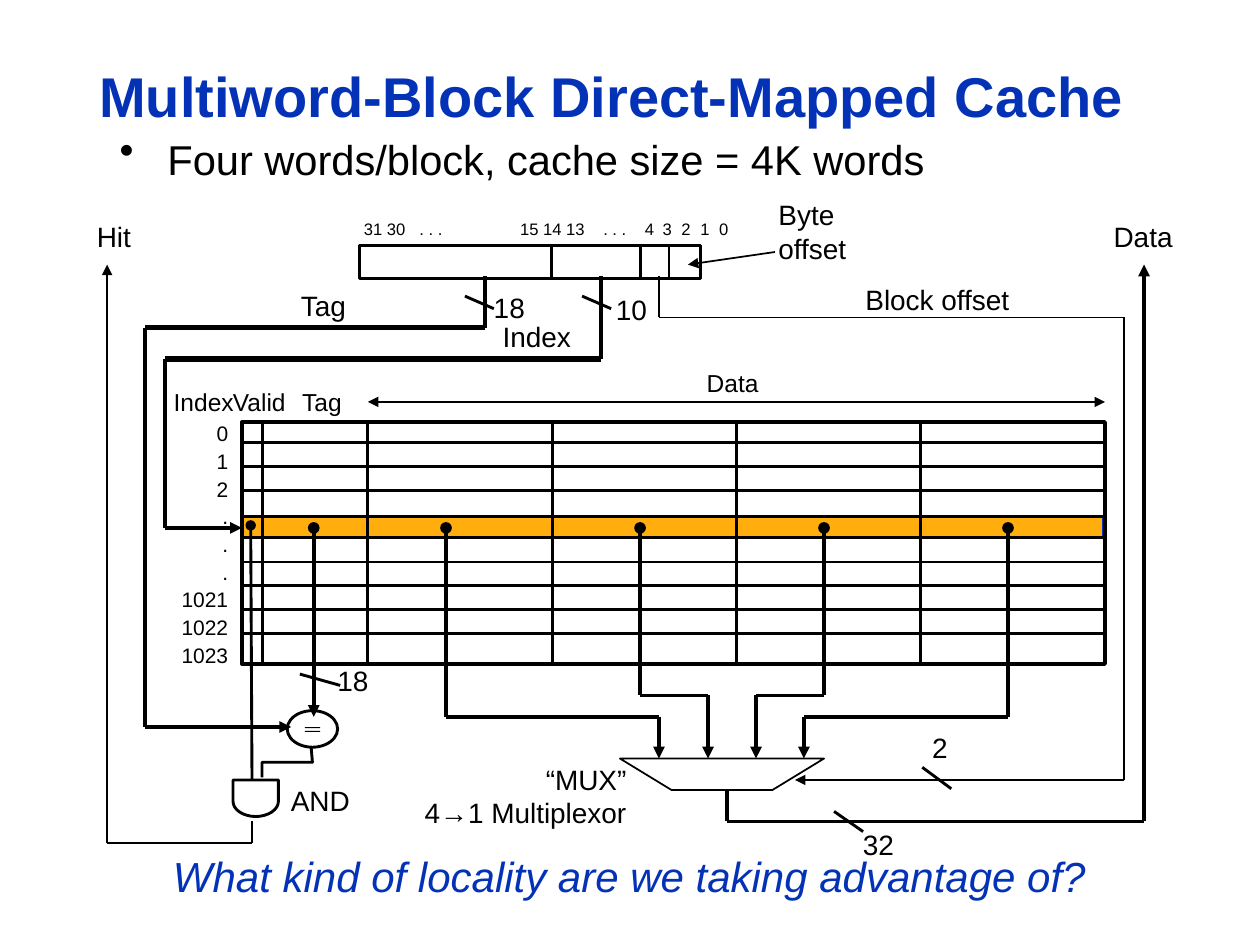
from math import cos, pi, sin

from lxml import etree
from pptx import Presentation
from pptx.dml.color import RGBColor
from pptx.enum.shapes import MSO_CONNECTOR, MSO_SHAPE
from pptx.enum.text import MSO_ANCHOR, PP_ALIGN
from pptx.oxml.ns import qn
from pptx.util import Inches, Pt

LEFT, CENTER, RIGHT = PP_ALIGN.LEFT, PP_ALIGN.CENTER, PP_ALIGN.RIGHT
TOP, MIDDLE = MSO_ANCHOR.TOP, MSO_ANCHOR.MIDDLE
RECT, OVAL = MSO_SHAPE.RECTANGLE, MSO_SHAPE.OVAL
STRAIGHT = MSO_CONNECTOR.STRAIGHT

THEME = {
    "font": "Arial",
    "ink": "000000", "accent": "0332B7", "highlight": "FFAE0D",
    "title": 32, "body": 23.8, "question": 24,
    "label": 16, "header": 14, "row": 12, "bits": 9.5,
    "thin": 1, "edge": 1.63, "bus": 2.25, "trunk": 3,
}

TITLE = "Multiword-Block Direct-Mapped Cache"
BULLET = "Four words/block, cache size = 4K words"
QUESTION = "What kind of locality are we taking advantage of?"
BITS = ["31 30", ". . .", "15 14 13", ". . .", "4", "3", "2", "1", "0"]
BIT_TABS = [0.44, 1.24, 1.9, 2.23, 2.37, 2.52, 2.67, 2.82]
ROWS = ["0", "1", "2", ".", ".", ".", "1021", "1022", "1023"]

LABELS = [
    ("Hit", 0.67, 1.69, 0.48),
    ("Data", 8.74, 1.69, 0.67),
    ("Tag", 2.29, 2.24, 0.56),
    ("18", 3.82, 2.26, 0.45),
    ("10", 4.79, 2.27, 0.45),
    ("Index", 3.89, 2.49, 0.75),
    ("Block offset", 6.77, 2.19, 1.62),
    ("18", 2.58, 5.22, 0.45),
    ("AND", 2.21, 6.17, 0.67),
    ("2", 7.3, 5.75, 0.33),
    ("32", 6.75, 6.52, 0.45),
]
HEADERS = [
    ("Data", 5.51, 2.87, 0.62),
    ("Index", 1.28, 3.02, 0.68),
    ("Tag", 2.3, 3.02, 0.52),
    ("Valid", 1.75, 3.02, 0.62),
]

TABLE = (1.92, 3.35, 6.85, 1.92)
ROW_PITCH, FIRST_RULE = 0.19, 3.51
RULE_STEPS = [0, 1, 2, 5, 6, 7, 8]
VALID_END, WORDS_START, WORDS = 2.08, 2.92, 4
HIT_ROW = 4.19

WORD_PATHS = [(3.54, 5.69, 5.23), (5.08, 5.52, 5.62), (6.54, 5.52, 6), (8, 5.69, 6.38)]
MUX = [(4.92, 6.02), (5.33, 6.27), (6.13, 6.27), (6.54, 6.02)]
SLASHES = [
    ((4.62, 2.35), (4.85, 2.45)),
    ((3.69, 2.35), (3.92, 2.45)),
    ((2.38, 5.35), (2.7, 5.44)),
    ((6.62, 6.44), (6.85, 6.6)),
    ((7.32, 6.09), (7.55, 6.26)),
]

prs = Presentation()
prs.slide_width, prs.slide_height = Inches(10), Inches(7.5)
s = prs.slides.add_slide(prs.slide_layouts[6])


def rgb(name):
    return RGBColor.from_string(THEME[name])


def add_text(text, x, y, w, h=0.37, size="label", color="ink", align=LEFT, anchor=TOP,
             bold=False, italic=False, wrap=False, spacing=None, bullet=False, tabs=()):
    tf = s.shapes.add_textbox(Inches(x), Inches(y), Inches(w), Inches(h)).text_frame
    tf.word_wrap, tf.vertical_anchor = wrap, anchor
    for i, line in enumerate([text] if isinstance(text, str) else text):
        p = tf.paragraphs[0] if i == 0 else tf.add_paragraph()
        p.alignment = align
        if spacing:
            p.line_spacing = spacing
        pPr = p._p.get_or_add_pPr()
        if bullet:
            pPr.set("marL", str(Inches(0.38)))
            pPr.set("indent", str(-Inches(0.38)))
            etree.SubElement(pPr, qn("a:buChar"), char="•")
        if tabs:
            stops = etree.SubElement(pPr, qn("a:tabLst"))
            for pos in tabs:
                etree.SubElement(stops, qn("a:tab"), pos=str(Inches(pos)), algn="l")
        r = p.add_run()
        r.text = line
        r.font.name, r.font.size = THEME["font"], Pt(THEME[size])
        r.font.bold, r.font.italic = bold, italic
        r.font.color.rgb = rgb(color)


def paint(sp, fill=None, line="ink", width="edge"):
    sp.shadow.inherit = False
    if fill:
        sp.fill.solid()
        sp.fill.fore_color.rgb = rgb(fill)
    else:
        sp.fill.background()
    if line:
        sp.line.color.rgb = rgb(line)
        sp.line.width = Pt(THEME[width]) if isinstance(width, str) else Pt(width)
    else:
        sp.line.fill.background()


def add_box(kind, x, y, w, h, **style):
    paint(s.shapes.add_shape(kind, Inches(x), Inches(y), Inches(w), Inches(h)), **style)


def add_outline(points, close=True, **style):
    (x, y), *rest = [(Inches(a), Inches(b)) for a, b in points]
    fb = s.shapes.build_freeform(x, y)
    fb.add_line_segments(rest, close=close)
    paint(fb.convert_to_shape(), **style)


def add_wire(*points, width="edge", level=None, head=None, tail=None):
    last = len(points) - 2
    for i, ((x1, y1), (x2, y2)) in enumerate(zip(points, points[1:])):
        c = s.shapes.add_connector(STRAIGHT, Inches(x1), Inches(y1), Inches(x2), Inches(y2))
        c.line.color.rgb = rgb("ink")
        c.line.width = Pt(THEME[level if level and y1 == y2 and i < last else width])
        ln = c.line._get_or_add_ln()
        if head and i == 0:
            etree.SubElement(ln, qn("a:headEnd"), type=head)
        if tail and i == last:
            etree.SubElement(ln, qn("a:tailEnd"), type=tail)
        etree.SubElement(c._element.spPr, qn("a:effectLst"))


add_text(TITLE, 0.69, 0.3, 8.46, 0.98, size="title", color="accent", bold=True,
         anchor=MIDDLE, wrap=True, spacing=0.9)
add_text(BULLET, 0.85, 1.15, 7.92, 0.56, size="body", wrap=True, spacing=0.6, bullet=True)

left, top, width, height = TABLE
right, bottom = left + width, top + height
add_box(RECT, left, 4.1, width - 0.02, 0.17, fill="highlight", line="accent", width=0.75)
add_box(RECT, left, 4.1, width, 0.17)
for step in RULE_STEPS:
    y = FIRST_RULE + step * ROW_PITCH
    add_wire((left, y), (right - 0.02, y))
add_box(RECT, *TABLE, width="bus")
pitch = (right - WORDS_START) / WORDS
for x in [VALID_END] + [WORDS_START + i * pitch for i in range(WORDS)]:
    add_wire((x, top), (x, bottom))
add_wire((WORDS_START, 3.19), (right, 3.19), width="thin", head="triangle", tail="triangle")
add_text(ROWS, 1.34, 3.27, 0.57, 2.1, size="row", align=RIGHT, spacing=1.1)
for text, x, y, w in HEADERS:
    add_text(text, x, y, w, 0.34, size="header")

add_box(RECT, 2.85, 1.95, 2.71, 0.26)
for x in (4.38, 5.08, 5.31):
    add_wire((x, 1.95), (x, 2.2))
add_text("\t".join(BITS), 2.79, 1.69, 3.23, 0.26, size="bits", wrap=True, tabs=BIT_TABS)
add_text("Byte offset", 6.08, 1.52, 0.85, 0.64, wrap=True)
add_wire((6.15, 2), (5.46, 2.1), width="thin", tail="triangle")

add_wire((4.77, 2.19), (4.77, 2.85), (1.31, 2.85), (1.31, HIT_ROW), (left, HIT_ROW),
         width="bus", level="trunk", tail="triangle")
add_wire((3.85, 2.19), (3.85, 2.6), (1.15, 2.6), (1.15, 5.77), (2.31, 5.77),
         width="bus", level="trunk", tail="triangle")
add_wire((2.49, HIT_ROW), (2.49, 5.69), width="bus", head="oval", tail="triangle")

add_box(OVAL, 2.28, 5.64, 0.4, 0.29)
for y in (5.77, 5.8):
    add_box(RECT, 2.42, y, 0.12, 0.01, fill="ink", line=None)
add_outline([(2.47, 5.93), (2.48, 6.05), (2.08, 6.05), (2.08, 6.17)], close=False)
gate_arc = [(2.03 + 0.18 * cos(i * pi / 16), 6.36 + 0.12 * sin(i * pi / 16)) for i in range(17)]
add_outline([(1.85, 6.19), (2.21, 6.19)] + gate_arc)
add_wire((1.99, 4.17), (2, 6.19), head="oval")
add_wire((2, 6.52), (2, 6.69), (0.85, 6.69), (0.85, 2.1), width="thin", tail="triangle")

add_outline(MUX, width="thin")
for x, bend, port in WORD_PATHS:
    add_wire((x, HIT_ROW), (x, bend), (port, bend), (port, MUX[0][1]),
             width="bus", head="oval", tail="triangle")
add_wire((5.23, 2.19), (5.23, 2.52), (8.92, 2.52), (8.92, 6.19), (6.31, 6.19),
         width="thin", tail="triangle")
add_wire((5.77, 6.27), (5.77, 6.52), (9.08, 6.52), (9.08, 2.1), width="bus", tail="triangle")
for start, end in SLASHES:
    add_wire(start, end)

for text, x, y, w in LABELS:
    add_text(text, x, y, w)
add_text(["“MUX”", "4→1 Multiplexor"], 3.25, 6, 1.82, 0.64, align=RIGHT)
add_text(QUESTION, 0.92, 6.75, 8.15, 0.5, size="question", color="accent", italic=True,
         align=CENTER, wrap=True, spacing=0.9)

prs.save("out.pptx")
